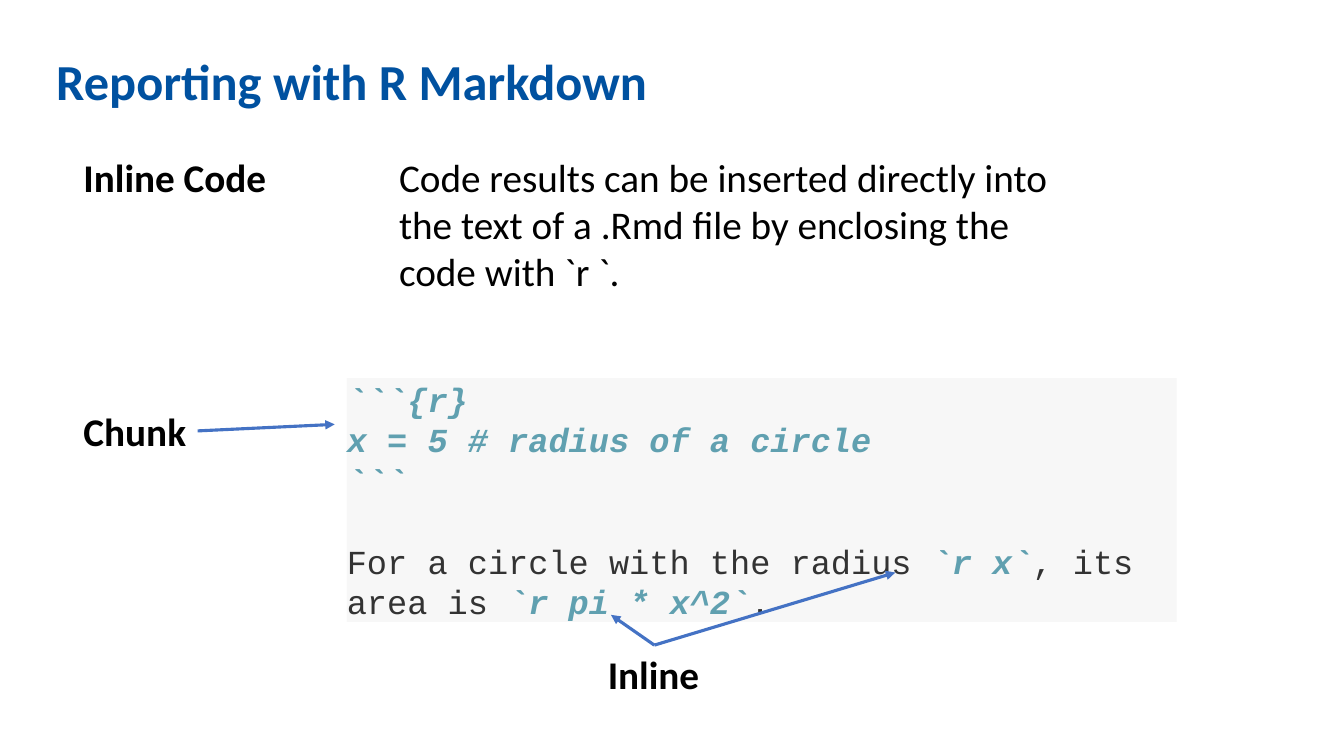
from lxml.etree import SubElement
from pptx import Presentation
from pptx.dml.color import RGBColor
from pptx.enum.shapes import MSO_CONNECTOR, MSO_SHAPE
from pptx.enum.text import MSO_ANCHOR, PP_ALIGN
from pptx.oxml.ns import qn
from pptx.util import Pt

SCALE = 9144
COLORS = {
    "title": "0051A0",
    "text": "000000",
    "panel": "F7F7F7",
    "code": "60A0B0",
    "prose": "333333",
    "arrow": "4472C4",
}
TOP, RIGHT = 0, 3


class Page:
    def __init__(self, deck):
        self.slide = deck.slides.add_slide(deck.slide_layouts[6])
        self.font = "Calibri"
        self.mono = "Courier New"

    def color(self, name):
        return RGBColor.from_string(COLORS[name])

    def run(self, para, text, size, name, color, bold=False, slant=False):
        run = para.add_run()
        run.text = text
        font = run.font
        font.size, font.name = Pt(size), name
        font.bold, font.italic = bold, slant
        font.color.rgb = self.color(color)

    def label(self, box, text, size=28, color="text", bold=True, wrap=False):
        shape = self.slide.shapes.add_textbox(*(v * SCALE for v in box))
        shape.text_frame.word_wrap = wrap
        para = shape.text_frame.paragraphs[0]
        self.run(para, text, size, self.font, color, bold)
        return shape

    def title(self, box, text):
        shape = self.label(box, text, 36, "title", wrap=True)
        shape.text_frame.paragraphs[0].line_spacing = 0.9

    def panel(self, box, lines, gap):
        shape = self.slide.shapes.add_shape(
            MSO_SHAPE.RECTANGLE, *(v * SCALE for v in box))
        shape.shadow.inherit = False
        shape.fill.solid()
        shape.fill.fore_color.rgb = self.color("panel")
        shape.line.fill.background()
        frame = shape.text_frame
        frame.word_wrap = True
        frame.vertical_anchor = MSO_ANCHOR.MIDDLE
        frame.margin_left = frame.margin_right = 0
        frame.margin_top = frame.margin_bottom = 0
        for i, line in enumerate(lines):
            para = frame.add_paragraph() if i else frame.paragraphs[0]
            para.alignment = PP_ALIGN.LEFT
            for text, code in line:
                color = "code" if code else "prose"
                self.run(para, text, 24, self.mono, color, code, code)
        para.space_before = Pt(gap)

    def arrow(self, start, end, source, side):
        line = self.slide.shapes.add_connector(
            MSO_CONNECTOR.STRAIGHT, *(v * SCALE for v in start + end))
        line.begin_connect(source, side)
        line.line.color.rgb = self.color("arrow")
        line.line.width = Pt(2.25)
        SubElement(line.line._get_or_add_ln(), qn("a:tailEnd"), type="triangle")
        SubElement(line._element.spPr, qn("a:effectLst"))


def main():
    deck = Presentation()
    deck.slide_width, deck.slide_height = 1333 * SCALE, 750 * SCALE
    page = Page(deck)
    page.title((46, 52, 1120, 71), "Reporting with R Markdown")
    page.label((73, 147, 204, 57), "Inline Code")
    page.label(
        (386, 147, 667, 151),
        "Code results can be inserted directly into the text of a .Rmd file "
        "by enclosing the code with `r `.",
        bold=False, wrap=True)
    page.panel((344, 375, 823, 242), [
        [("```{r}", True)],
        [("x = 5 # radius of a circle", True)],
        [("```", True)],
        [("For a circle with the radius ", False), ("`r x`", True),
         (", its area is ", False), ("`r pi * x^2`", True), (".", False)],
    ], 29)
    chunk = page.label((73, 399, 123, 57), "Chunk")
    inline = page.label((593, 640, 112, 57), "Inline")
    page.arrow((196, 427), (332, 421), chunk, RIGHT)
    for tip in ((606, 610), (888, 568)):
        page.arrow((649, 640), tip, inline, TOP)
    deck.save("out.pptx")


if __name__ == "__main__":
    main()
